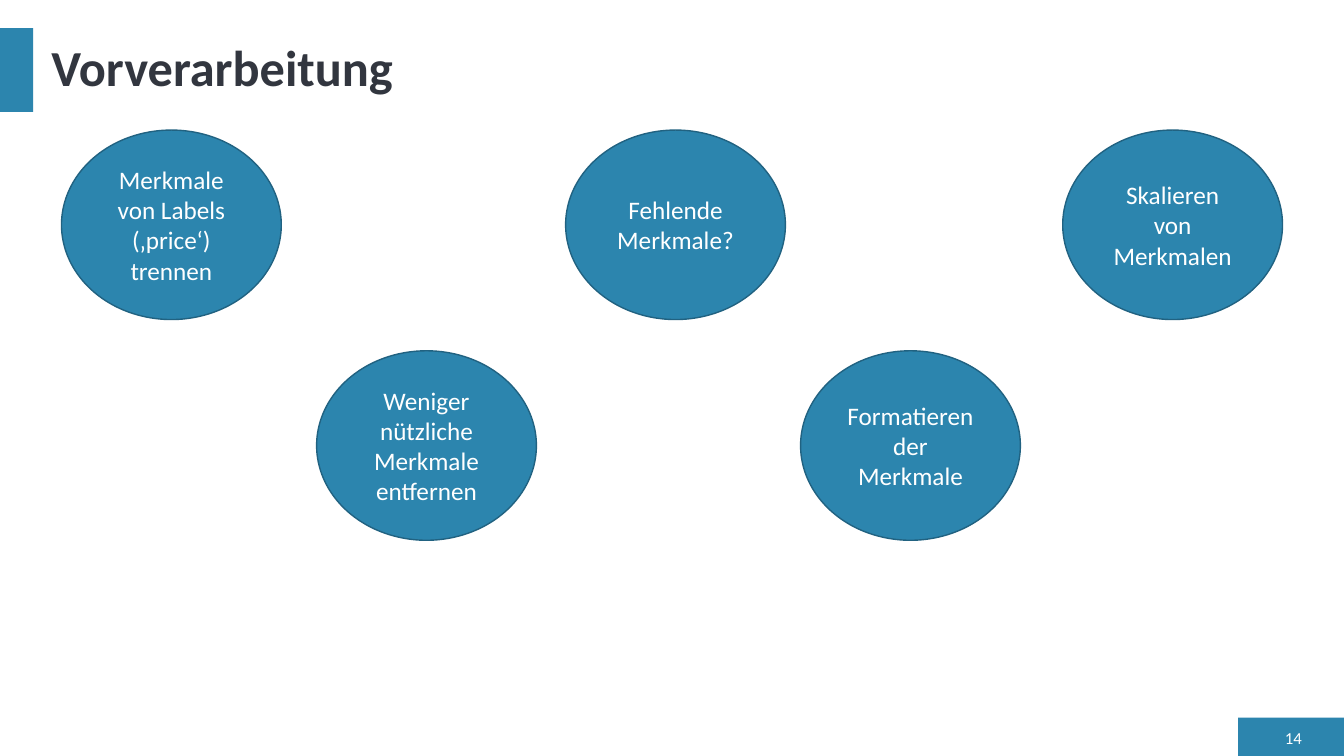
from pptx import Presentation
from pptx import util as u
from pptx.dml.color import RGBColor
from pptx.enum import shapes, text

# Content
TITLE = "Vorverarbeitung"
PAGE_NUMBER = "14"
STEPS = [  # wording, left edge; the steps alternate between upper and lower row
    ("Merkmale von Labels (‚price‘) trennen", 0.61),
    ("Weniger nützliche Merkmale entfernen", 3.14),
    ("Fehlende Merkmale?", 5.61),
    ("Formatieren der Merkmale", 7.94),
    ("Skalieren von Merkmalen", 10.54),
]
ROW_TOPS = (1.29, 3.48)
STEP_SIZE = (2.18, 1.88)
ACCENT_BARS = [(12.28, 7.12, 1.05, 0.38), (0, 0.28, 0.33, 0.83)]

# Formats
BLUE = RGBColor(0x2C, 0x85, 0xAE)
DARK_BLUE = RGBColor(0x21, 0x62, 0x81)
DARK_GREY = RGBColor(0x32, 0x36, 0x3F)
WHITE = RGBColor(0xFF, 0xFF, 0xFF)
TITLE_FONT = {"name": "Calibri", "size": u.Pt(36), "bold": True}
PAGE_FONT = {"name": "Calibri", "size": u.Pt(12)}
STEP_FONT = {"name": "Calibri", "size": u.Pt(18)}


def inches(*lengths):
    return [u.Inches(length) for length in lengths]


def write(shape, wording, font, color, align):
    frame = shape.text_frame
    frame.text = wording
    frame.word_wrap = True
    frame.auto_size = text.MSO_AUTO_SIZE.NONE
    frame.vertical_anchor = text.MSO_ANCHOR.MIDDLE
    paragraph = frame.paragraphs[0]
    paragraph.alignment = align
    for key, value in font.items():
        setattr(paragraph.font, key, value)
    paragraph.font.color.rgb = color
    return paragraph


def add_blue(slide, kind, box):
    shape = slide.shapes.add_shape(kind, *inches(*box))
    shape.shadow.inherit = False
    shape.fill.solid()
    shape.fill.fore_color.rgb = BLUE
    return shape


def main():
    deck = Presentation()
    deck.slide_width, deck.slide_height = inches(13.33, 7.5)
    slide = deck.slides.add_slide(deck.slide_layouts[5])

    # Accent bars
    for box in ACCENT_BARS:
        add_blue(slide, shapes.MSO_SHAPE.RECTANGLE, box).line.fill.background()

    # Title
    title = slide.shapes.title
    title.left, title.top, title.width, title.height = inches(0.41, 0.28, 12.6, 0.83)
    heading = write(title, TITLE, TITLE_FONT, DARK_GREY, text.PP_ALIGN.LEFT)
    heading.line_spacing = 0.9

    # Page number
    page = slide.shapes.add_textbox(*inches(12.6, 7.2, 0.41, 0.23))
    write(page, PAGE_NUMBER, PAGE_FONT, WHITE, text.PP_ALIGN.RIGHT)

    # Preprocessing steps
    for index, (wording, left) in enumerate(STEPS):
        box = (left, ROW_TOPS[index % 2], *STEP_SIZE)
        step = add_blue(slide, shapes.MSO_SHAPE.OVAL, box)
        step.line.color.rgb = DARK_BLUE
        step.line.width = u.Pt(1)
        write(step, wording, STEP_FONT, WHITE, text.PP_ALIGN.CENTER)

    deck.save("out.pptx")


if __name__ == "__main__":
    main()
